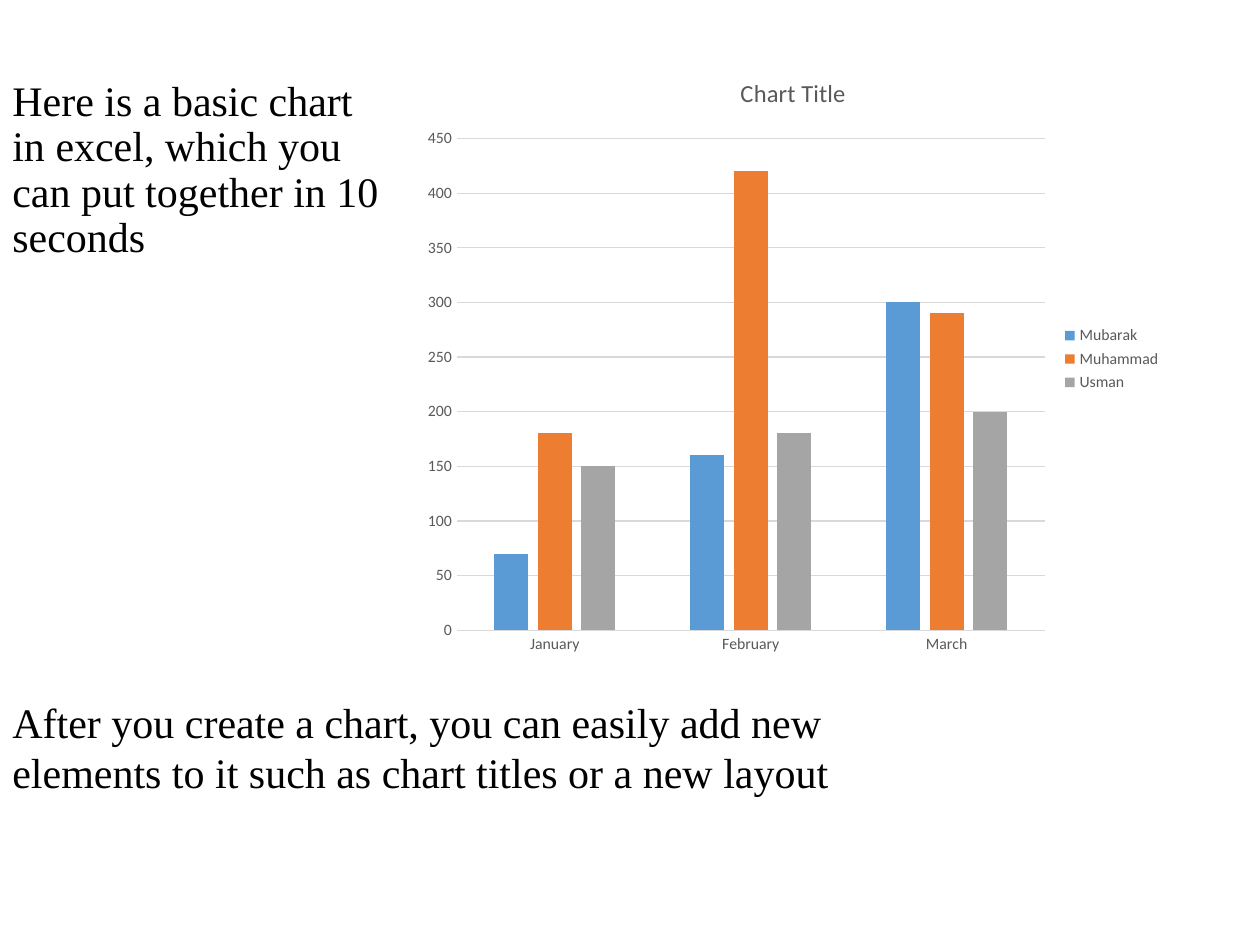
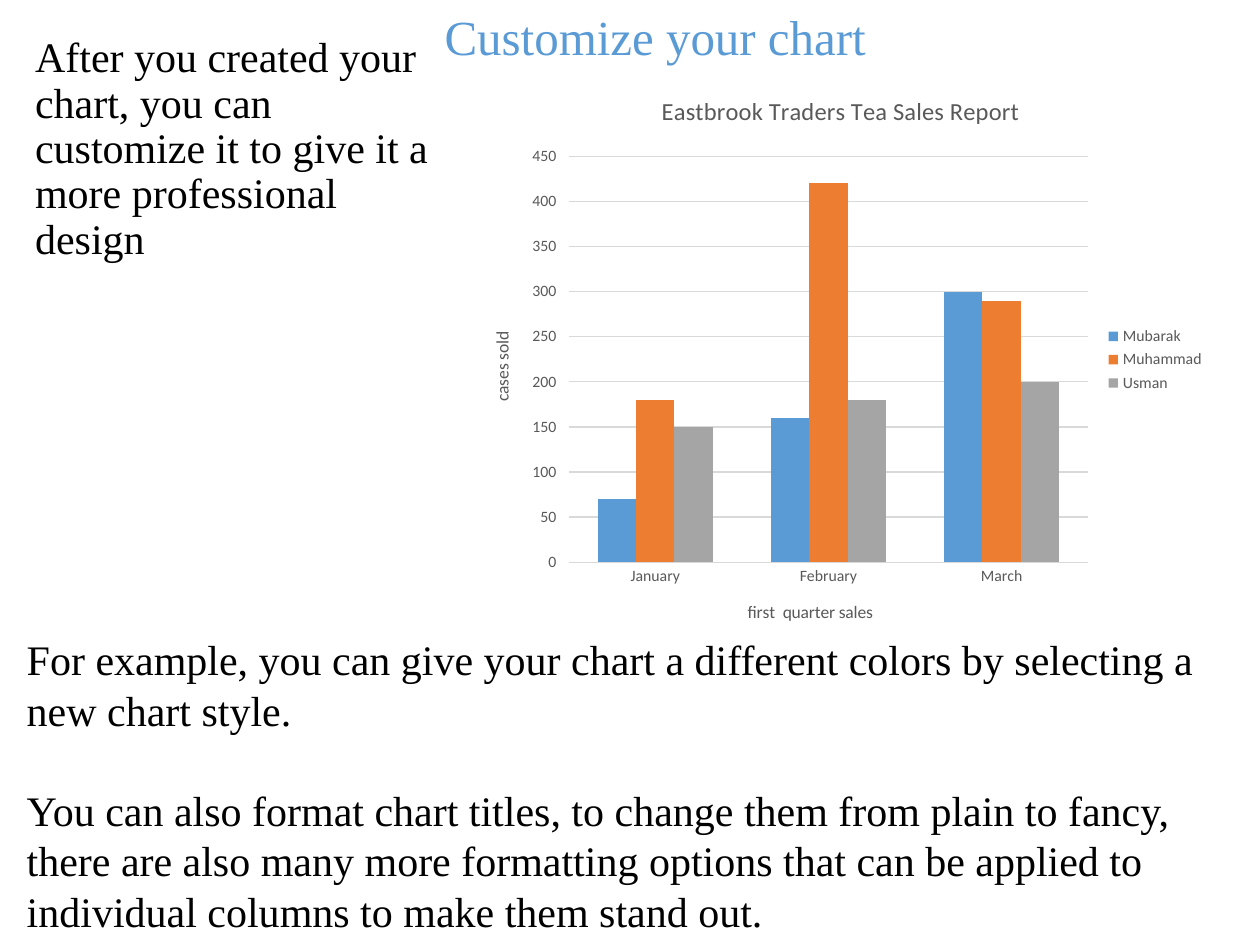
from dataclasses import dataclass

from lxml import etree
from pptx import Presentation
from pptx.chart.data import CategoryChartData
from pptx.dml.color import RGBColor
from pptx.enum.chart import XL_CHART_TYPE, XL_LEGEND_POSITION, XL_TICK_MARK
from pptx.enum.text import MSO_ANCHOR, PP_ALIGN
from pptx.oxml.ns import qn
from pptx.util import Pt

COLUMNS = XL_CHART_TYPE.COLUMN_CLUSTERED
LEGEND_RIGHT = XL_LEGEND_POSITION.RIGHT
NO_TICK, TICK_OUT = XL_TICK_MARK.NONE, XL_TICK_MARK.OUTSIDE
TOP, BOTTOM = MSO_ANCHOR.TOP, MSO_ANCHOR.BOTTOM
LEFT, CENTER = PP_ALIGN.LEFT, PP_ALIGN.CENTER


@dataclass(frozen=True)
class Theme:
    text_font: str = "Times New Roman"
    chart_font: str = "Calibri"
    ink: RGBColor = RGBColor(0, 0, 0)
    accent: RGBColor = RGBColor(0x5B, 0x9B, 0xD5)
    label: RGBColor = RGBColor(0x59, 0x59, 0x59)
    rule: RGBColor = RGBColor(0xD9, 0xD9, 0xD9)
    columns: tuple = (RGBColor(0x5B, 0x9B, 0xD5), RGBColor(0xED, 0x7D, 0x31),
                      RGBColor(0xA5, 0xA5, 0xA5))
    heading: int = 28
    body: int = 24
    chart_title: int = 14
    axis_title: int = 10
    tick_label: int = 9
    rule_width: float = 0.75


THEME = Theme()
SLIDE_SIZE = (720, 540)

MONTHS = ("January", "February", "March")
SALES = {
    "Mubarak": (70, 160, 300),
    "Muhammad": (180, 420, 290),
    "Usman": (150, 180, 200),
}

# Boxes are left, top, width, height; title places are left, top (all in points).
SLIDES = [
    {
        "texts": [
            {"box": (0, 42.2, 232.56, 110.88), "anchor": BOTTOM, "line_spacing": 0.9,
             "paragraphs": ["Here is a basic chart in excel, which you can put "
                            "together in 10 seconds"]},
            {"box": (0, 394.4, 530.64, 123.84),
             "paragraphs": ["After you create a chart, you can easily add new",
                            "elements to it such as chart titles or a new layout"]},
        ],
        "chart": {
            "box": (236.16, 30.24, 434.6, 349.92), "plot": (261, 79.2, 336, 281),
            "gap": 219, "overlap": -27, "value_tick": NO_TICK,
            "title": ("Chart Title", (420.6, 41)),
        },
    },
    {
        "texts": [
            {"box": (12.96, 55.44, 252.72, 197.28), "anchor": BOTTOM, "line_spacing": 0.9,
             "bottom_inset": 102.4,
             "paragraphs": ["After you created your chart, you can customize it to "
                            "give it a more professional design"]},
            {"box": (8.2, 358.56, 711.8, 181.44), "space_between": 28.6,
             "paragraphs": ["For example, you can give your chart a different colors "
                            "by selecting a new chart style.",
                            "You can also format chart titles, to change them from "
                            "plain to fancy, there are also many more formatting "
                            "options that can be applied to individual columns to "
                            "make them stand out."]},
            {"box": (20.88, 0, 707.04, 41.04), "align": CENTER,
             "size": THEME.heading, "color": THEME.accent,
             "paragraphs": ["Customize your chart"]},
        ],
        "chart": {
            "box": (265.68, 41.04, 429.84, 329.04), "plot": (325, 89.3, 296.8, 232),
            "gap": 150, "overlap": 0, "value_tick": TICK_OUT,
            "title": ("Eastbrook Traders Tea Sales Report", (375.6, 51.4)),
            "category_title": ("first  quarter sales", (425.4, 341.2)),
            "value_title": ("cases sold", (278.6, 187.8)),
        },
    },
]


def style(font, name, size, color):
    font.name, font.size, font.bold = name, Pt(size), False
    font.color.rgb = color


def add_text(slide, box, paragraphs, anchor=TOP, align=LEFT, size=THEME.body,
             color=THEME.ink, line_spacing=1.0, space_between=0, bottom_inset=3.6):
    frame = slide.shapes.add_textbox(*map(Pt, box)).text_frame
    frame.word_wrap = True
    frame.vertical_anchor = anchor
    frame.margin_bottom = Pt(bottom_inset)
    frame.text = "\n".join(paragraphs)
    for index, paragraph in enumerate(frame.paragraphs):
        paragraph.alignment = align
        paragraph.line_spacing = line_spacing
        paragraph.space_before = Pt(space_between if index else 0)
        style(paragraph.font, THEME.text_font, size, color)


def set_layout(parent, index, chart_box, place, inner=False):
    """Fix a chart part at a slide position, as fractions of the chart box."""
    for old in parent.findall(qn("c:layout")):
        parent.remove(old)
    layout = etree.Element(qn("c:layout"))
    manual = etree.SubElement(layout, qn("c:manualLayout"))
    left, top, width, height = chart_box
    fractions = [(place[0] - left) / width, (place[1] - top) / height]
    settings = [("layoutTarget", "inner")] if inner else []
    settings += [("xMode", "edge"), ("yMode", "edge")]
    if inner:
        fractions += [place[2] / width, place[3] / height]
    settings += [(key, f"{value:.4f}") for key, value in zip("xywh", fractions)]
    for tag, value in settings:
        etree.SubElement(manual, qn(f"c:{tag}")).set("val", value)
    parent.insert(index, layout)


def add_title(owner, title, chart_box, size, upright=False):
    """Title a chart or an axis; upright text reads from bottom to top."""
    wording, place = title
    target = owner.chart_title if hasattr(owner, "chart_title") else owner.axis_title
    frame = target.text_frame
    frame.text = wording
    style(frame.paragraphs[0].font, THEME.chart_font, size, THEME.label)
    if upright:
        body = next(target._element.iter(qn("a:bodyPr")))
        body.set("rot", "-5400000")
        body.set("vert", "horz")
    set_layout(target._element, 1, chart_box, place)


def rule(line):
    line.color.rgb = THEME.rule
    line.width = Pt(THEME.rule_width)


def add_sales_chart(slide, box, plot, gap, overlap, value_tick, title,
                    category_title=None, value_title=None):
    data = CategoryChartData()
    data.categories = MONTHS
    for person, cases in SALES.items():
        data.add_series(person, cases)
    chart = slide.shapes.add_chart(COLUMNS, *map(Pt, box), data).chart
    style(chart.font, THEME.chart_font, THEME.axis_title, THEME.ink)

    columns = chart.plots[0]
    columns.vary_by_categories = False
    columns.gap_width, columns.overlap = gap, overlap
    for series, color in zip(columns.series, THEME.columns):
        series.format.fill.solid()
        series.format.fill.fore_color.rgb = color

    months, cases_axis = chart.category_axis, chart.value_axis
    for axis, tick in ((months, NO_TICK), (cases_axis, value_tick)):
        axis.major_tick_mark, axis.minor_tick_mark = tick, NO_TICK
        style(axis.tick_labels.font, THEME.chart_font, THEME.tick_label, THEME.label)
    rule(months.format.line)
    cases_axis.format.line.fill.background()
    rule(cases_axis.major_gridlines.format.line)
    cases_axis.minimum_scale, cases_axis.maximum_scale = 0, 450
    cases_axis.major_unit = 50

    chart.has_legend = True
    chart.legend.position = LEGEND_RIGHT
    chart.legend.include_in_layout = False
    style(chart.legend.font, THEME.chart_font, THEME.tick_label, THEME.label)

    add_title(chart, title, box, THEME.chart_title)
    if category_title:
        add_title(months, category_title, box, THEME.axis_title)
    if value_title:
        add_title(cases_axis, value_title, box, THEME.axis_title, upright=True)
    set_layout(chart._chartSpace.chart.plotArea, 0, box, plot, inner=True)


def main():
    deck = Presentation()
    deck.slide_width, deck.slide_height = map(Pt, SLIDE_SIZE)
    for content in SLIDES:
        slide = deck.slides.add_slide(deck.slide_layouts[6])
        for text in content["texts"]:
            add_text(slide, **text)
        add_sales_chart(slide, **content["chart"])
    deck.save("out.pptx")


if __name__ == "__main__":
    main()
